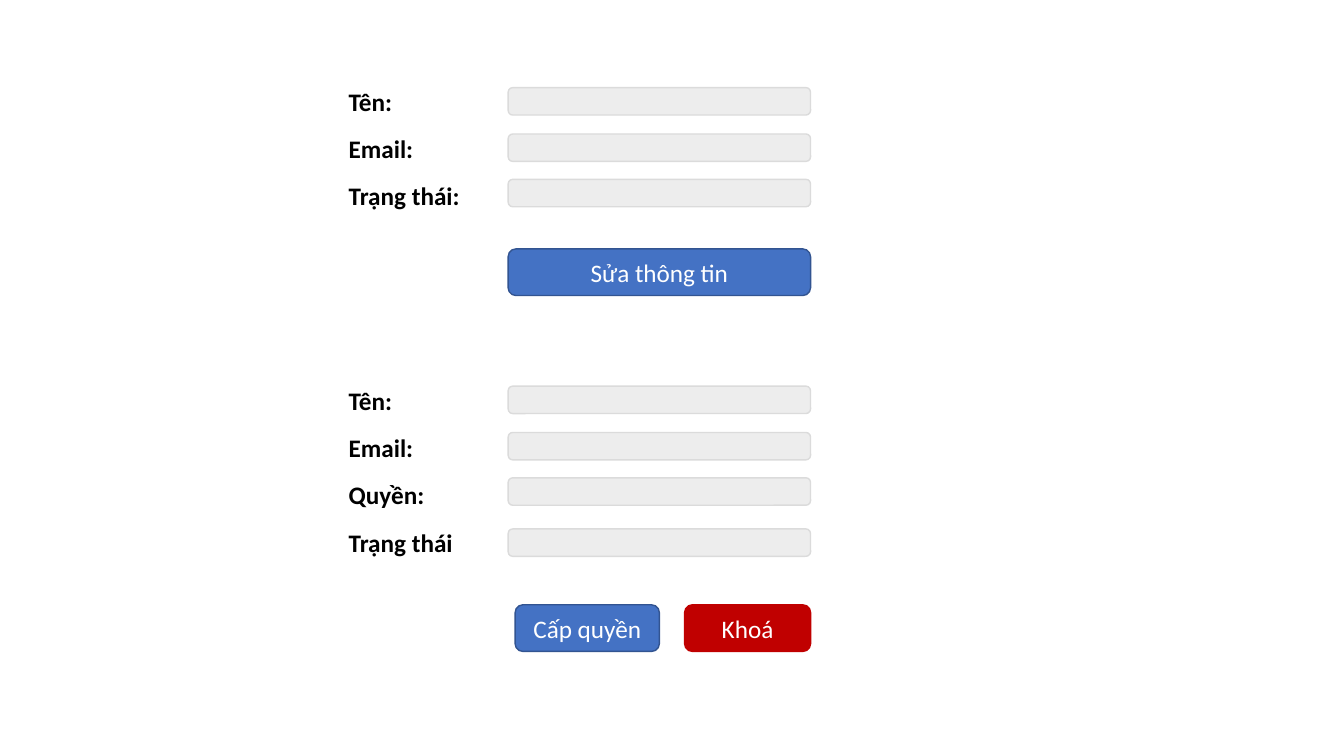
from pptx import Presentation
from pptx.dml.color import RGBColor
from pptx.enum.shapes import MSO_SHAPE
from pptx.enum.text import MSO_ANCHOR, MSO_AUTO_SIZE, PP_ALIGN
from pptx.util import Pt

COLORS = {
    "label": "000000",
    "button_text": "FFFFFF",
    "field": "EDEDED",
    "field_line": "DBDBDB",
    "blue": "4472C4",
    "blue_line": "325491",
    "red": "C00000",
}
FORM_LEFT = 242
FORM_WIDTH = 337
LABEL_WIDTH, LABEL_HEIGHT = 238, 29
FIELD_WIDTH, FIELD_HEIGHT = 216, 19.6
BUTTON_HEIGHT = 33.3
# Offsets of each row's label and field from the top of its form
ROW_OFFSETS = [(0, 4.3), (33.5, 37.4), (67, 69.8), (101.5, 106.3)]


def color(name):
    return RGBColor.from_string(COLORS[name])


def write_text(shape, text, color_name, bold=False):
    para = shape.text_frame.paragraphs[0]
    para.text = text
    para.font.name = "Calibri"
    para.font.size = Pt(18)
    para.font.bold = bold
    para.font.color.rgb = color(color_name)
    return para


def add_label(page, left, top, text):
    box = page.shapes.add_textbox(Pt(left), Pt(top), Pt(LABEL_WIDTH), Pt(LABEL_HEIGHT))
    box.text_frame.word_wrap = True
    box.text_frame.auto_size = MSO_AUTO_SIZE.SHAPE_TO_FIT_TEXT
    write_text(box, text, "label", bold=True)


def add_rounded(page, left, top, width, height, fill, line):
    shape = page.shapes.add_shape(
        MSO_SHAPE.ROUNDED_RECTANGLE, Pt(left), Pt(top), Pt(width), Pt(height))
    shape.shadow.inherit = False
    shape.fill.solid()
    shape.fill.fore_color.rgb = color(fill)
    shape.line.color.rgb = color(line)
    shape.line.width = Pt(1)
    return shape


def add_button(page, left, top, width, text, fill, line):
    button = add_rounded(page, left, top, width, BUTTON_HEIGHT, fill, line)
    button.text_frame.vertical_anchor = MSO_ANCHOR.MIDDLE
    write_text(button, text, "button_text").alignment = PP_ALIGN.CENTER


def add_form(page, left, top, width, labels, button_offset, buttons):
    """Place labelled fields and a button row; buttons give their distance from the right edge."""
    right = left + width
    for text, (label_offset, field_offset) in zip(labels, ROW_OFFSETS):
        add_rounded(page, right - FIELD_WIDTH, top + field_offset,
                    FIELD_WIDTH, FIELD_HEIGHT, "field", "field_line")
        add_label(page, left, top + label_offset, text)
    for text, inset, button_width, fill, line in buttons:
        add_button(page, right - inset - button_width, top + button_offset,
                   button_width, text, fill, line)


def main():
    deck = Presentation()
    deck.slide_width, deck.slide_height = Pt(960), Pt(540)
    page = deck.slides.add_slide(deck.slide_layouts[6])
    add_form(page, FORM_LEFT, 58.3, FORM_WIDTH, ["Tên:", "Email:", "Trạng thái:"], 119.5,
             [("Sửa thông tin", 0, FIELD_WIDTH, "blue", "blue_line")])
    add_form(page, FORM_LEFT, 271.5, FORM_WIDTH,
             ["Tên:", "Email:", "Quyền:", "Trạng thái"], 160.5,
             [("Cấp quyền", 108, 103, "blue", "blue_line"),
              ("Khoá", 0, 90, "red", "red")])
    deck.save("out.pptx")


if __name__ == "__main__":
    main()
